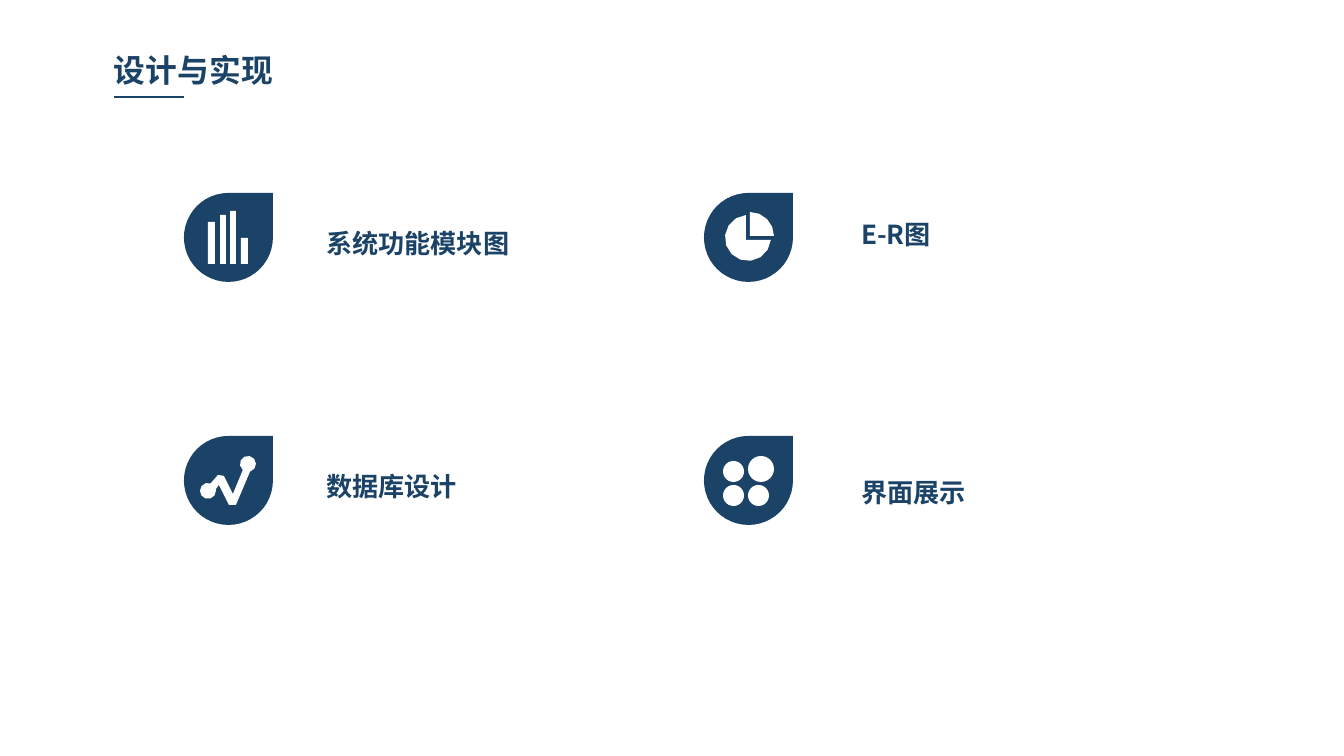
from math import cos, radians, sin

from lxml import etree
from pptx import Presentation
from pptx.dml.color import RGBColor
from pptx.enum.shapes import MSO_CONNECTOR, MSO_SHAPE
from pptx.oxml.ns import qn
from pptx.util import Pt

EMU_PER_PX = 914400 / 134.4
TEARDROP, BAR, DOT = MSO_SHAPE.TEAR, MSO_SHAPE.RECTANGLE, MSO_SHAPE.OVAL
STRAIGHT = MSO_CONNECTOR.STRAIGHT
COLORS = {"navy": "1B4367", "white": "FFFFFF"}
FONT = "Noto Sans CJK SC"
BADGE = 89
TITLE_FORMAT = {"size": Pt(17), "bold": True, "name": FONT}
LABEL_FORMAT = {"size": Pt(14), "bold": True, "name": FONT}
LABEL_SPACING = {"line_spacing": 1.4, "space_before": Pt(2.8)}


def px(*lengths):
    """Turn pixel lengths into EMU."""
    return [round(length * EMU_PER_PX) for length in lengths]


def color(name):
    """Look up a named colour."""
    return RGBColor.from_string(COLORS[name])


def paint(part, fill):
    """Give a shape a flat fill with no outline or shadow."""
    part.shadow.inherit = False
    part.fill.solid()
    part.fill.fore_color.rgb = color(fill)
    part.line.fill.background()


def add_part(parts, kind, box, fill="white"):
    """Add a flat preset shape."""
    paint(parts.add_shape(kind, *px(*box)), fill)


def add_outline(parts, x, y, points):
    """Add a white closed outline whose points are relative to x, y."""
    corners = [px(x + dx, y + dy) for dx, dy in points]
    builder = parts.build_freeform(*corners[0], scale=1.0)
    builder.add_line_segments(corners[1:], close=True)
    paint(builder.convert_to_shape(), "white")


def arc(cx, cy, radius, start, end, steps):
    """List points along a clockwise arc, in degrees."""
    angles = [radians(start + (end - start) * i / steps) for i in range(steps + 1)]
    return [(cx + radius * cos(a), cy + radius * sin(a)) for a in angles]


def add_text(slide, box, words, font_format, spacing):
    """Add a one-line navy text box."""
    frame = slide.shapes.add_textbox(*px(*box)).text_frame
    frame.word_wrap = True
    margins = dict(zip(("left", "top", "right", "bottom"), px(9, 5, 9, 5)))
    for side, margin in margins.items():
        setattr(frame, f"margin_{side}", margin)
    paragraph = frame.paragraphs[0]
    for key, value in spacing.items():
        setattr(paragraph, key, value)
    run = paragraph.add_run()
    run.text = words
    for key, value in font_format.items():
        setattr(run.font, key, value)
    run.font.color.rgb = color("navy")
    etree.SubElement(run.font._element, qn("a:ea"), typeface=FONT)


def draw_bars(parts, x, y):
    """Draw the bar chart icon."""
    base = 71
    for left, top, width in ((24, 29, 7), (36, 22, 6), (46, 18, 6), (57, 45, 7)):
        add_part(parts, BAR, (x + left, y + top, width, base - top))


def draw_pie(parts, x, y):
    """Draw the pie icon with its raised quarter."""
    add_outline(parts, x, y, arc(44, 45, 23, 5, 265, 10) + [(42, 47)])
    add_outline(parts, x, y, arc(46, 43, 24, 270, 360, 4) + [(46, 43)])


def draw_trend(parts, x, y):
    """Draw the trend line icon with round ends."""
    head = arc(64, 28, 8, 130, 435, 8)
    tail = arc(24, 55, 8, 0, 290, 8)
    valley = [(52, 69), (45, 69), (35, 49), (32, 53)]
    peak = [(34, 39), (40, 40), (49, 58)]
    add_outline(parts, x, y, head + valley + tail + peak)


def draw_dots(parts, x, y):
    """Draw the four-dot icon."""
    for left, top, size in ((19, 25, 21), (44, 20, 26), (19, 49, 21), (44, 49, 21)):
        add_part(parts, DOT, (x + left, y + top, size, size))


def add_header(slide, x, y, title):
    """Place the title and its short underline."""
    add_text(slide, (x, y, 332, 48), title, TITLE_FORMAT, {})
    rule = slide.shapes.add_connector(STRAIGHT, *px(x + 9, y + 51, x + 79, y + 51))
    rule.line.color.rgb = color("navy")
    rule.line.width = Pt(0.75)
    etree.SubElement(rule._element.spPr, qn("a:effectLst"))


def add_topic(slide, x, y, label, label_dx, label_dy, draw_icon):
    """Place a teardrop badge with its icon and label."""
    parts = slide.shapes.add_group_shape().shapes
    add_part(parts, TEARDROP, (x, y, BADGE, BADGE), "navy")
    draw_icon(parts, x, y)
    box = (x + label_dx, y + label_dy, 293, 42)
    add_text(slide, box, label, LABEL_FORMAT, LABEL_SPACING)


def main():
    """Build and save the slide."""
    deck = Presentation()
    deck.slide_width, deck.slide_height = px(1344, 756)
    slide = deck.slides.add_slide(deck.slide_layouts[6])
    add_header(slide, 105, 46, "设计与实现")
    left, right = 184, 704
    top, bottom = 193, 436
    topics = (
        (left, top, "系统功能模块图", 133, 17, draw_bars),
        (left, bottom, "数据库设计", 133, 17, draw_trend),
        (right, top, "E-R图", 148, 8, draw_pie),
        (right, bottom, "界面展示", 148, 23, draw_dots),
    )
    for topic in topics:
        add_topic(slide, *topic)
    deck.save("out.pptx")


if __name__ == "__main__":
    main()
